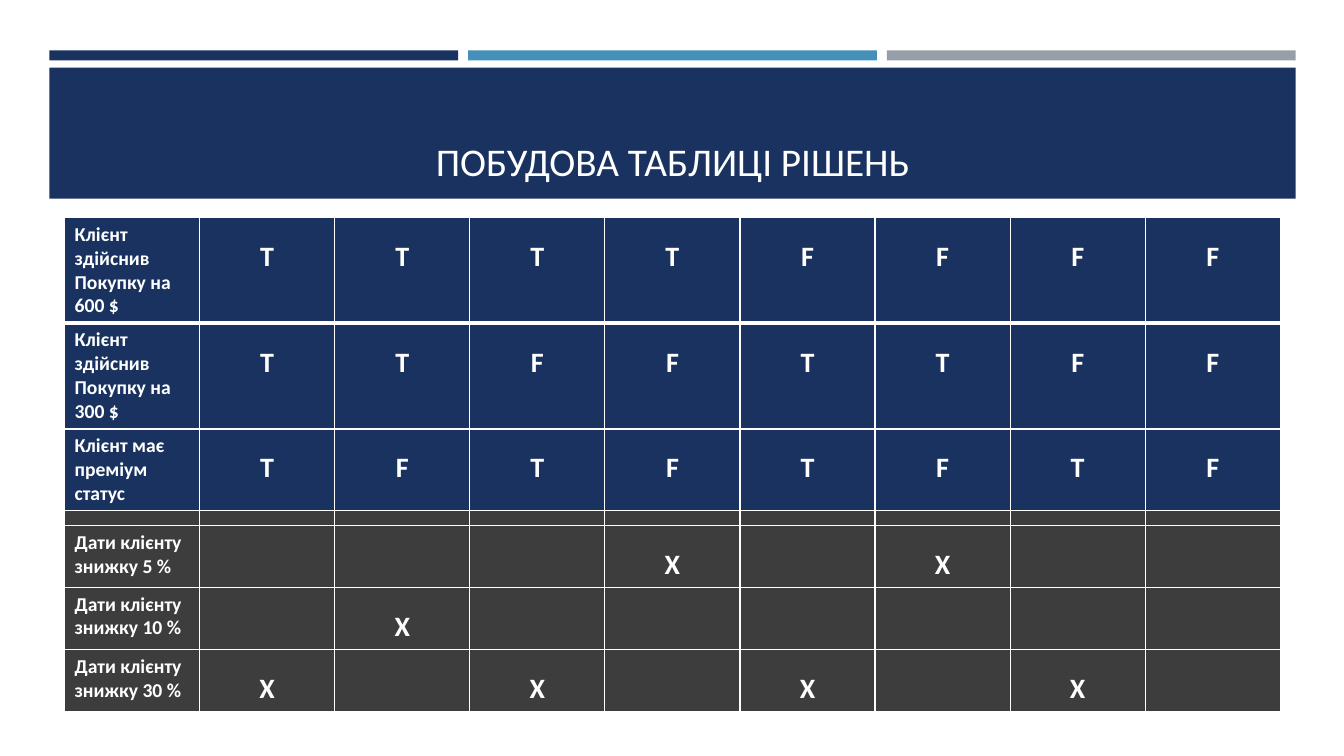
from dataclasses import dataclass

from lxml.etree import SubElement
from pptx import Presentation
from pptx.dml.color import RGBColor
from pptx.enum.shapes import MSO_SHAPE
from pptx.enum.text import MSO_ANCHOR, PP_ALIGN
from pptx.oxml.ns import qn
from pptx.util import Inches, Pt


@dataclass(frozen=True)
class Theme:
    font: str = "Calibri"
    navy: str = "1A3260"
    blue: str = "4590B8"
    gray: str = "969FA7"
    dark: str = "3D3D3D"
    white: str = "FFFFFF"
    title: int = 28
    label: int = 14
    mark: int = 20
    spacer: int = 4


THEME = Theme()

# Row height, fill, label paragraphs, one mark per rule
ROWS = [
    (1.04, THEME.navy, ["Клієнт здійснив", "Покупку на 600 $"], "TTTTFFFF"),
    (1.05, THEME.navy, ["Клієнт здійснив", "Покупку на 300 $"], "TTFFTTFF"),
    (0.81, THEME.navy, ["Клієнт має преміум статус"], "TFTFTFTF"),
    (0.15, THEME.dark, [], " " * 8),
    (0.61, THEME.dark, ["Дати клієнту знижку 5 %"], "   X X  "),
    (0.62, THEME.dark, ["Дати клієнту знижку 10 %"], " X      "),
    (0.61, THEME.dark, ["Дати клієнту знижку 30 %"], "X X X X "),
]


def paint(fill, color):
    fill.solid()
    fill.fore_color.rgb = RGBColor.from_string(color)


def add_bar(slide, left, top, width, height, color):
    bar = slide.shapes.add_shape(
        MSO_SHAPE.RECTANGLE, Inches(left), Inches(top), Inches(width), Inches(height))
    bar.shadow.inherit = False
    paint(bar.fill, color)
    bar.line.fill.background()


def add_text(para, text, size, bold):
    run = para.add_run()
    run.text = text
    font = run.font
    font.name, font.size, font.bold = THEME.font, Pt(size), bold
    font.color.rgb = RGBColor.from_string(THEME.white)


def add_header(slide, left, top, width, height):
    """Three thin stripes over a banner that holds the title."""
    gap, thin = 0.1, 0.1
    part = (width - 2 * gap) / 3
    for i, color in enumerate((THEME.navy, THEME.blue, THEME.gray)):
        add_bar(slide, left + i * (part + gap), top, part, thin, color)
    drop, pad = 0.17, 0.15
    add_bar(slide, left, top + drop, width, height - drop, THEME.navy)

    title = slide.shapes.title
    title.left, title.top = Inches(left + pad), Inches(top + drop + 0.1)
    title.width, title.height = Inches(width - 2 * pad), Inches(height - drop - 0.19)
    slide.shapes._spTree.append(title._element)  # bring in front of the banner
    frame = title.text_frame
    frame.word_wrap = True
    frame.vertical_anchor = MSO_ANCHOR.BOTTOM
    para = frame.paragraphs[0]
    para.alignment = PP_ALIGN.CENTER
    add_text(para, "ПОБУДОВА ТАБЛИЦІ РІШЕНЬ", THEME.title, False)


def add_edges(cell, top, bottom):
    """Draw white cell borders; top and bottom widths are in points."""
    props = cell._tc.get_or_add_tcPr()
    for side, width in (("L", 1), ("R", 1), ("T", top), ("B", bottom)):
        line = SubElement(props, qn(f"a:ln{side}"), w=str(Pt(width)))
        fill = SubElement(line, qn("a:solidFill"))
        SubElement(fill, qn("a:srgbClr"), val=THEME.white)


def fill_label(cell, lines):
    frame = cell.text_frame
    for i, line in enumerate(lines):
        para = frame.add_paragraph() if i else frame.paragraphs[0]
        add_text(para, line, THEME.label, True)


def fill_mark(cell, mark):
    para = cell.text_frame.paragraphs[0]
    para.alignment = PP_ALIGN.CENTER
    para.line_spacing = 1.5
    add_text(para, mark, THEME.mark, True)


def shrink(cell):
    """Let an empty cell be lower than a line of text."""
    cell.margin_top = cell.margin_bottom = 0
    end = cell.text_frame.paragraphs[0]._p.get_or_add_endParaRPr()
    end.set("sz", str(THEME.spacer * 100))


def add_rules(slide, left, top, width):
    """Decision table: conditions above, actions below."""
    count = 1 + len(ROWS[0][3])
    height = sum(row[0] for row in ROWS)
    table = slide.shapes.add_table(
        len(ROWS), count, Inches(left), Inches(top), Inches(width), Inches(height)).table
    table.horz_banding = False
    for col in table.columns:
        col.width = Inches(width / count)
    for r, (high, color, lines, marks) in enumerate(ROWS):
        table.rows[r].height = Inches(high)
        for c in range(count):
            cell = table.cell(r, c)
            add_edges(cell, 3 if r == 1 else 1, 3 if r == 0 else 1)
            paint(cell.fill, color)
            if not lines:
                shrink(cell)
            elif c == 0:
                fill_label(cell, lines)
            elif marks[c - 1] != " ":
                fill_mark(cell, marks[c - 1])


def main():
    deck = Presentation()
    deck.slide_width, deck.slide_height = Inches(13.33), Inches(7.5)
    slide = deck.slides.add_slide(deck.slide_layouts[5])
    add_header(slide, 0.49, 0.5, 12.36, 1.47)
    add_rules(slide, 0.64, 2.16, 12.06)
    deck.save("out.pptx")


if __name__ == "__main__":
    main()
